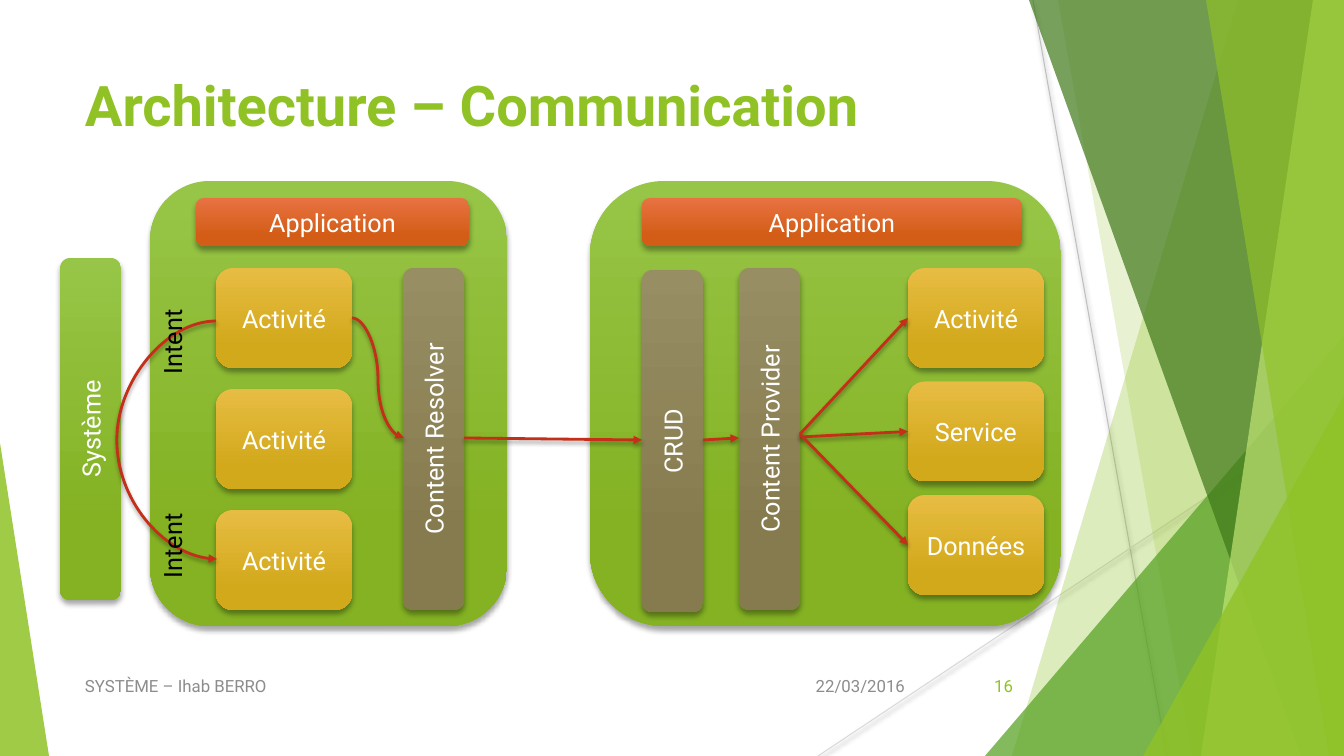
from lxml import etree
from pptx import Presentation
from pptx.dml.color import RGBColor
from pptx.enum.shapes import MSO_CONNECTOR, MSO_SHAPE
from pptx.enum.text import MSO_ANCHOR, PP_ALIGN
from pptx.oxml.ns import qn
from pptx.util import Pt

PIXEL = 914400 / 100.8
ROUNDED, TRIANGLE = MSO_SHAPE.ROUNDED_RECTANGLE, MSO_SHAPE.ISOSCELES_TRIANGLE
STRAIGHT, CURVED = MSO_CONNECTOR.STRAIGHT, MSO_CONNECTOR.CURVE
TOP, MIDDLE = MSO_ANCHOR.TOP, MSO_ANCHOR.MIDDLE
LEFT, CENTER, RIGHT = PP_ALIGN.LEFT, PP_ALIGN.CENTER, PP_ALIGN.RIGHT
FONT = "Roboto"
ACCENT, GREY, RED = "90C226", "8C8C8C", "C42F1A"
GREEN = ("97C547", "84B223")
GOLD = ("E7BC43", "D2A91B")
BROWN = ("988E64", "857B4E")
ORANGE = ("E87242", "D35D16")


def px(value):
    return round(value * PIXEL)


def color(value):
    return RGBColor.from_string(value)


def add_element(parent, tag, **attributes):
    values = {name: str(value) for name, value in attributes.items()}
    return etree.SubElement(parent, qn(tag), values)


def add_shadow(shape, blur, distance):
    effects = add_element(shape._element.spPr, "a:effectLst")
    shadow = add_element(effects, "a:outerShdw", blurRad=Pt(blur), dist=Pt(distance),
                         dir=5400000, algn="ctr", rotWithShape=0)
    shade = add_element(shadow, "a:srgbClr", val="000000")
    add_element(shade, "a:alpha", val=35000)


def write(shape, text, size=18, fill="FFFFFF", bold=False, align=CENTER,
          anchor=MIDDLE, wrap=True):
    frame = shape.text_frame
    for name, value in {"word_wrap": wrap, "vertical_anchor": anchor}.items():
        setattr(frame, name, value)
    paragraph = frame.paragraphs[0]
    paragraph.alignment = align
    run = paragraph.add_run()
    run.text = text
    for name, value in {"name": FONT, "size": Pt(size), "bold": bold}.items():
        setattr(run.font, name, value)
    run.font.color.rgb = color(fill)


def add_text(slide, left, top, width, height, text, **formats):
    shape = slide.shapes.add_textbox(px(left), px(top), px(width), px(height))
    write(shape, text, **formats)
    return shape


def add_block(slide, left, top, width, height, gradient, text="", vertical=False):
    shape = slide.shapes.add_shape(ROUNDED, px(left), px(top), px(width), px(height))
    shape.fill.gradient()
    shape.fill.gradient_angle = 270
    for stop, position, value in zip(shape.fill.gradient_stops, (0, 0.78), gradient):
        stop.position = position
        stop.color.rgb = color(value)
    shape.line.fill.background()
    add_shadow(shape, 4, 3)
    if text:
        write(shape, text)
    if vertical:
        shape.text_frame._txBody.bodyPr.set("vert", "vert270")


def add_line(slide, start, end, value, width, kind=STRAIGHT):
    line = slide.shapes.add_connector(kind, *map(px, start + end))
    line.line.color.rgb = color(value)
    line.line.width = Pt(width)
    return line


def add_arrow(slide, start, end, kind=STRAIGHT, bend=None):
    arrow = add_line(slide, start, end, RED, 2, kind)
    add_element(arrow.line._get_or_add_ln(), "a:tailEnd", type="triangle")
    add_shadow(arrow, 3, 2)
    if bend is not None:
        guides = arrow._element.spPr.find(qn("a:prstGeom")).get_or_add_avLst()
        add_element(guides, "a:gd", name="adj1", fmla=f"val {bend * 100000}")


def tint(shape, value, opacity):
    shape.fill.solid()
    shape.fill.fore_color.rgb = color(value)
    shape.line.fill.background()
    shape.shadow.inherit = False
    solid = shape._element.spPr.find(qn("a:solidFill"))
    add_element(solid[0], "a:alpha", val=opacity * 1000)


def add_facet(slide, points, value, opacity):
    builder = slide.shapes.build_freeform(*points[0], scale=PIXEL)
    builder.add_line_segments(points[1:], close=True)
    tint(builder.convert_to_shape(), value, opacity)


def add_corner(slide, left, top, width, height, apex, value, opacity):
    shape = slide.shapes.add_shape(TRIANGLE, px(left), px(top), px(width), px(height))
    shape.adjustments[0] = apex
    tint(shape, value, opacity)


def draw_background(slide, left, top, width, height):
    right, bottom = left + width, top + height

    def add_band(top_x, bottom_x, value, opacity):
        points = [(left + top_x, top), (right, top), (right, bottom),
                  (left + bottom_x, bottom)]
        add_facet(slide, points, value, opacity)

    add_line(slide, (left + 1033, top), (left + 1167, bottom), "BFBFBF", 0.75)
    add_line(slide, (right, top + 406), (left + 818, bottom), "D9D9D9", 0.75)
    add_band(1238, 1012, ACCENT, 30)
    add_band(1058, 1192, ACCENT, 20)
    add_corner(slide, left + 985, top + 336, 359, 420, 1, "54A021", 72)
    add_band(1029, 1301, "3F7819", 70)
    add_band(1313, 1201, "C0E474", 70)
    add_band(1206, 1329, ACCENT, 65)
    add_corner(slide, left + 1143, top + 396, 201, 360, 1, ACCENT, 80)
    add_corner(slide, left, top + 443, 49, 313, 0, ACCENT, 85)


def draw_title(slide, left, top, width, height):
    add_text(slide, left, top, width, height, "Architecture – Communication",
             size=40, fill=ACCENT, bold=True, align=LEFT, anchor=MIDDLE)


def draw_footer(slide, left, top, width, height):
    for offset, part, text, fill, align in (
            (0, 695, "SYSTÈME – Ihab BERRO", GREY, LEFT),
            (720, 120, "22/03/2016", GREY, RIGHT),
            (width - 76, 76, "16", ACCENT, RIGHT)):
        add_text(slide, left + offset, top, part, height, text,
                 size=12, fill=fill, align=align)


def draw_client(slide, left, top, width, height):
    add_block(slide, left, top, width, height, GREEN)
    add_block(slide, left + 46, top + 17, 273, 48, ORANGE, "Application")
    add_block(slide, left + 253, top + 87, 61, 342, BROWN, "Content Resolver", True)
    for row in range(3):
        add_block(slide, left + 66, top + 87 + 121 * row, 136, 100, GOLD, "Activité")
    # Intent loop through the system bar
    add_arrow(slide, (left + 66, top + 140), (left + 67, top + 378), CURVED, -100)
    for offset in (138, 342):
        label = add_text(slide, left - 23, top + offset, 90, 40, "Intent",
                         fill="000000", align=LEFT, anchor=TOP, wrap=False)
        label.rotation = 270
    add_arrow(slide, (left + 202, top + 137), (left + 254, top + 257), CURVED)


def draw_provider(slide, left, top, width, height):
    add_block(slide, left, top, width, height, GREEN)
    add_block(slide, left + 52, top + 17, 380, 48, ORANGE, "Application")
    add_block(slide, left + 52, top + 89, 61, 342, BROWN, "CRUD", True)
    add_block(slide, left + 149, top + 87, 61, 342, BROWN, "Content Provider", True)
    add_arrow(slide, (left + 113, top + 259), (left + 149, top + 257))
    # Fan out to the three components
    for row, (text, start) in enumerate(
            (("Activité", 253), ("Service", 256), ("Données", 253))):
        block_top = top + 87 + 113.5 * row
        add_block(slide, left + 318, block_top, 136, 100, GOLD, text)
        add_arrow(slide, (left + 210, top + start), (left + 318, block_top + 50))


presentation = Presentation()
presentation.slide_width, presentation.slide_height = px(1344), px(756)
slide = presentation.slides.add_slide(presentation.slide_layouts[6])
draw_background(slide, 0, 0, 1344, 756)
draw_title(slide, 75, 68, 948, 73)
draw_footer(slide, 75, 666, 948, 40)
add_block(slide, 60, 258, 61, 342, GREEN, "Système", True)
draw_client(slide, 150, 181, 357, 445)
draw_provider(slide, 590, 181, 471, 445)
# Link between the two applications
add_arrow(slide, (464, 438), (642, 440))
presentation.save("out.pptx")
